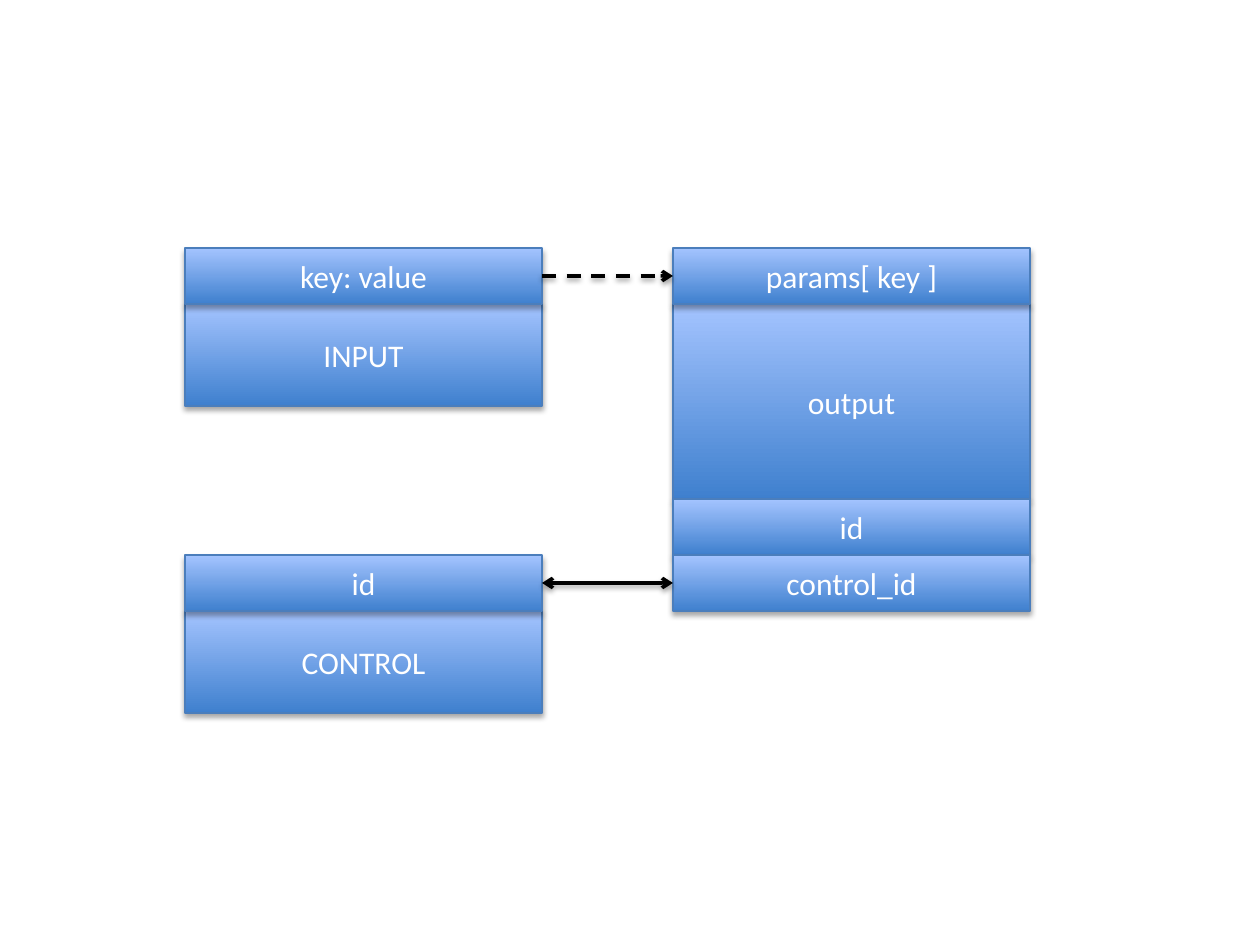
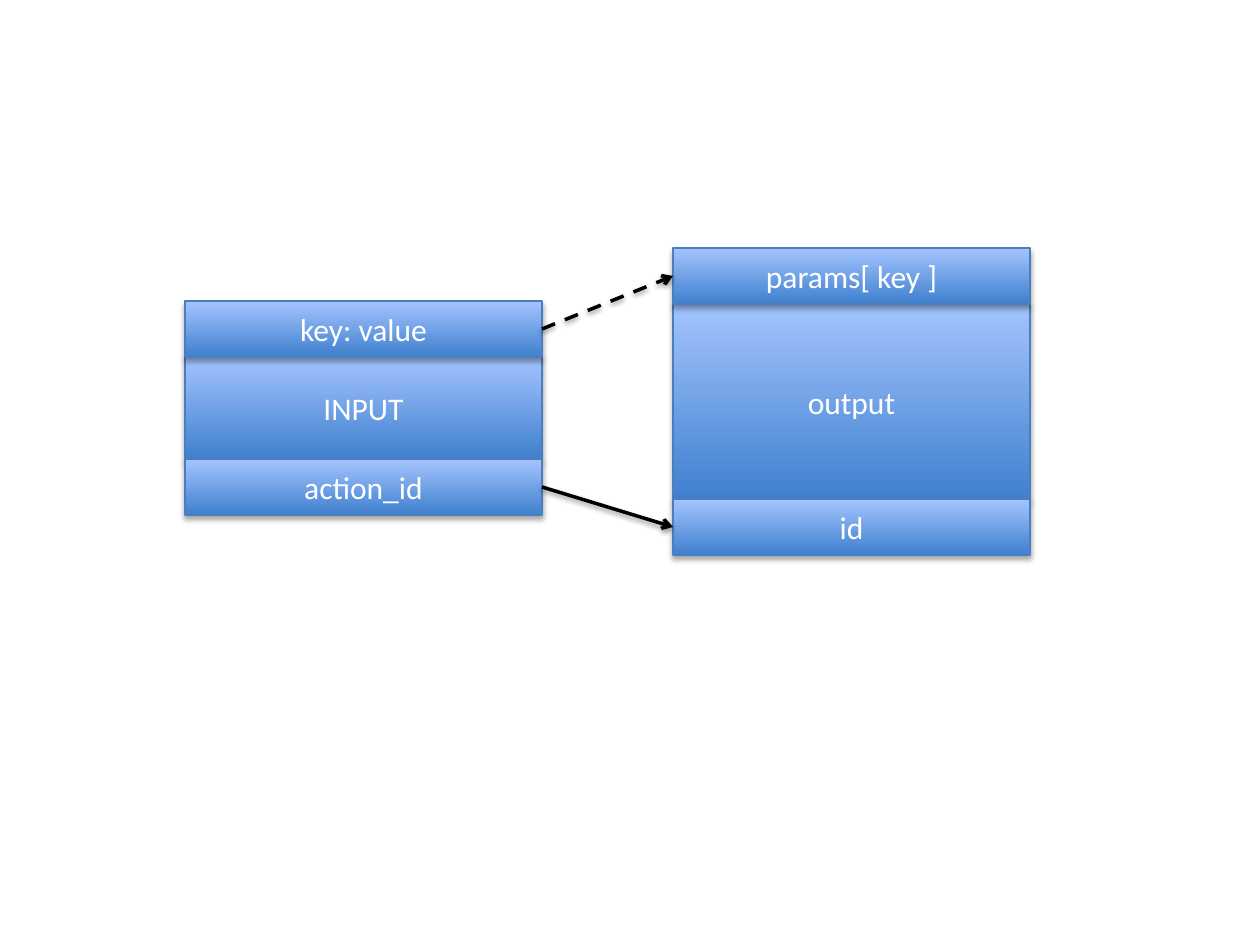
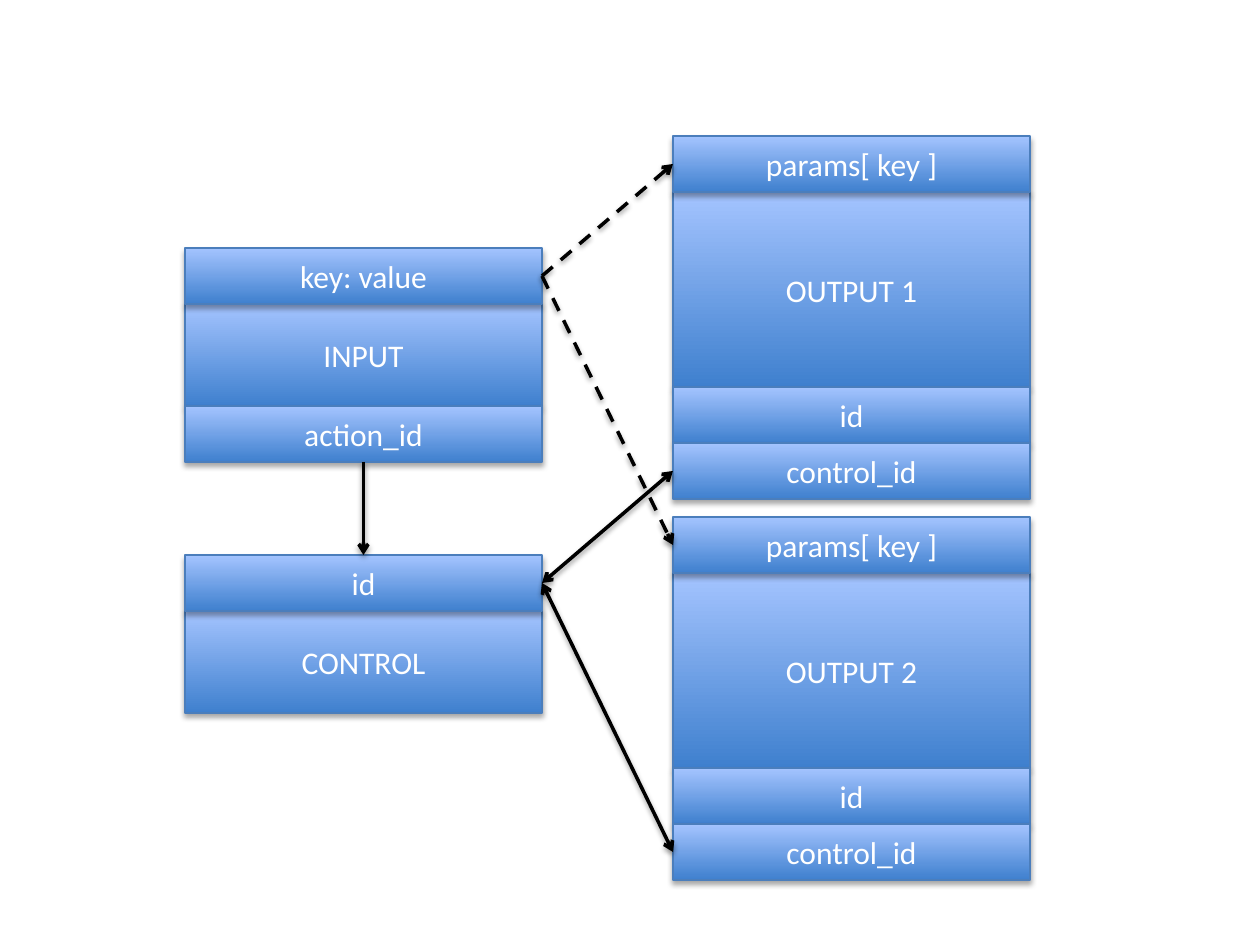
"""Three diagrams of inputs, controls and outputs linked by their fields."""
from dataclasses import dataclass

from pptx import Presentation
from pptx import util as u
from pptx.dml.color import RGBColor
from pptx.enum import dml, shapes, text
from pptx.oxml import parse_xml
from pptx.oxml.ns import nsdecls


@dataclass(frozen=True)
class Theme:
    light: RGBColor = RGBColor.from_string("A4C4FF")
    deep: RGBColor = RGBColor.from_string("3F80CE")
    edge: RGBColor = RGBColor.from_string("4B7EBC")
    ink: RGBColor = RGBColor.from_string("000000")
    label: RGBColor = RGBColor.from_string("FFFFFF")
    font: str = "Calibri"
    size: u.Pt = u.Pt(18)
    edge_width: u.Pt = u.Pt(0.75)
    link_width: u.Pt = u.Pt(2)


def px(n):
    return u.Emu(round(n * 914400 / 126))


def add_shadow(s, distance, opacity):
    s._element.spPr.append(parse_xml(
        f'<a:effectLst {nsdecls("a")}>'
        f'<a:outerShdw blurRad="{u.Pt(3.1)}" dist="{u.Pt(distance)}" dir="5400000" rotWithShape="0">'
        f'<a:srgbClr val="{theme.ink}"><a:alpha val="{opacity * 1000}"/></a:srgbClr>'
        '</a:outerShdw></a:effectLst>'))


theme = Theme()
LEFT, RIGHT, WIDTH = 185, 673, 357
ROW, SHORT, TALL = 56, 102, 195
TOP, BOTTOM, LEFT_SIDE, RIGHT_SIDE = 0, 2, 1, 3
DASHED, ONE_WAY, TWO_WAY = "dashed", "one way", "two way"

control = ("control", LEFT, 555, SHORT, ["id", "CONTROL"])
diagrams = [
    (
        [
            ("input", LEFT, 248, SHORT, ["key: value", "INPUT"]),
            ("output", RIGHT, 248, TALL, ["params[ key ]", "output", "id", "control_id"]),
            control,
        ],
        [
            ("control", "id", RIGHT_SIDE, "output", "control_id", LEFT_SIDE, TWO_WAY),
            ("input", "key: value", RIGHT_SIDE, "output", "params[ key ]", LEFT_SIDE, DASHED),
        ],
    ),
    (
        [
            ("input", LEFT, 301, SHORT, ["key: value", "INPUT", "action_id"]),
            ("output", RIGHT, 248, TALL, ["params[ key ]", "output", "id"]),
        ],
        [
            ("input", "key: value", RIGHT_SIDE, "output", "params[ key ]", LEFT_SIDE, DASHED),
            ("input", "action_id", RIGHT_SIDE, "output", "id", LEFT_SIDE, ONE_WAY),
        ],
    ),
    (
        [
            ("input", LEFT, 248, SHORT, ["key: value", "INPUT", "action_id"]),
            ("output 1", RIGHT, 136, TALL, ["params[ key ]", "OUTPUT 1", "id", "control_id"]),
            control,
            ("output 2", RIGHT, 517, TALL, ["params[ key ]", "OUTPUT 2", "id", "control_id"]),
        ],
        [
            ("control", "id", RIGHT_SIDE, "output 1", "control_id", LEFT_SIDE, TWO_WAY),
            ("input", "key: value", RIGHT_SIDE, "output 1", "params[ key ]", LEFT_SIDE, DASHED),
            ("control", "id", RIGHT_SIDE, "output 2", "control_id", LEFT_SIDE, TWO_WAY),
            ("input", "key: value", RIGHT_SIDE, "output 2", "params[ key ]", LEFT_SIDE, DASHED),
            ("input", "action_id", BOTTOM, "control", "id", TOP, ONE_WAY),
        ],
    ),
]

prs = Presentation()
prs.slide_width, prs.slide_height = px(1260), px(945)

for stacks, links in diagrams:
    slide = prs.slides.add_slide(prs.slide_layouts[6])
    boxes = {}

    for name, x, top, body, labels in stacks:
        header, title, *fields = labels
        rows = [(title, top + ROW, body), (header, top, ROW)]
        rows += [(field, top + ROW + body + i * ROW, ROW) for i, field in enumerate(fields)]
        for label, y, height in rows:
            s = slide.shapes.add_shape(shapes.MSO_SHAPE.RECTANGLE, px(x), px(y), px(WIDTH), px(height))
            s.fill.gradient()
            s.fill.gradient_angle = 90
            for stop, color, position in zip(s.fill.gradient_stops, (theme.deep, theme.light), (0, 1)):
                stop.color.rgb = color
                stop.position = position
            s.line.color.rgb = theme.edge
            s.line.width = theme.edge_width
            add_shadow(s, 1.8, 35)
            tf = s.text_frame
            tf.vertical_anchor = text.MSO_ANCHOR.MIDDLE
            p = tf.paragraphs[0]
            p.alignment = text.PP_ALIGN.CENTER
            r = p.add_run()
            r.text = label
            r.font.name = theme.font
            r.font.size = theme.size
            r.font.color.rgb = theme.label
            boxes[name, label] = s

    for source, source_row, source_side, target, target_row, target_side, style in links:
        s = slide.shapes.add_connector(shapes.MSO_CONNECTOR.STRAIGHT, 0, 0, 0, 0)
        s.begin_connect(boxes[source, source_row], source_side)
        s.end_connect(boxes[target, target_row], target_side)
        s.line.color.rgb = theme.ink
        s.line.width = theme.link_width
        if style == DASHED:
            s.line.dash_style = dml.MSO_LINE.DASH
        for end in ("headEnd", "tailEnd") if style == TWO_WAY else ("tailEnd",):
            s.line._get_or_add_ln().append(parse_xml(f'<a:{end} {nsdecls("a")} type="arrow"/>'))
        add_shadow(s, 1.6, 38)

prs.save("out.pptx")
